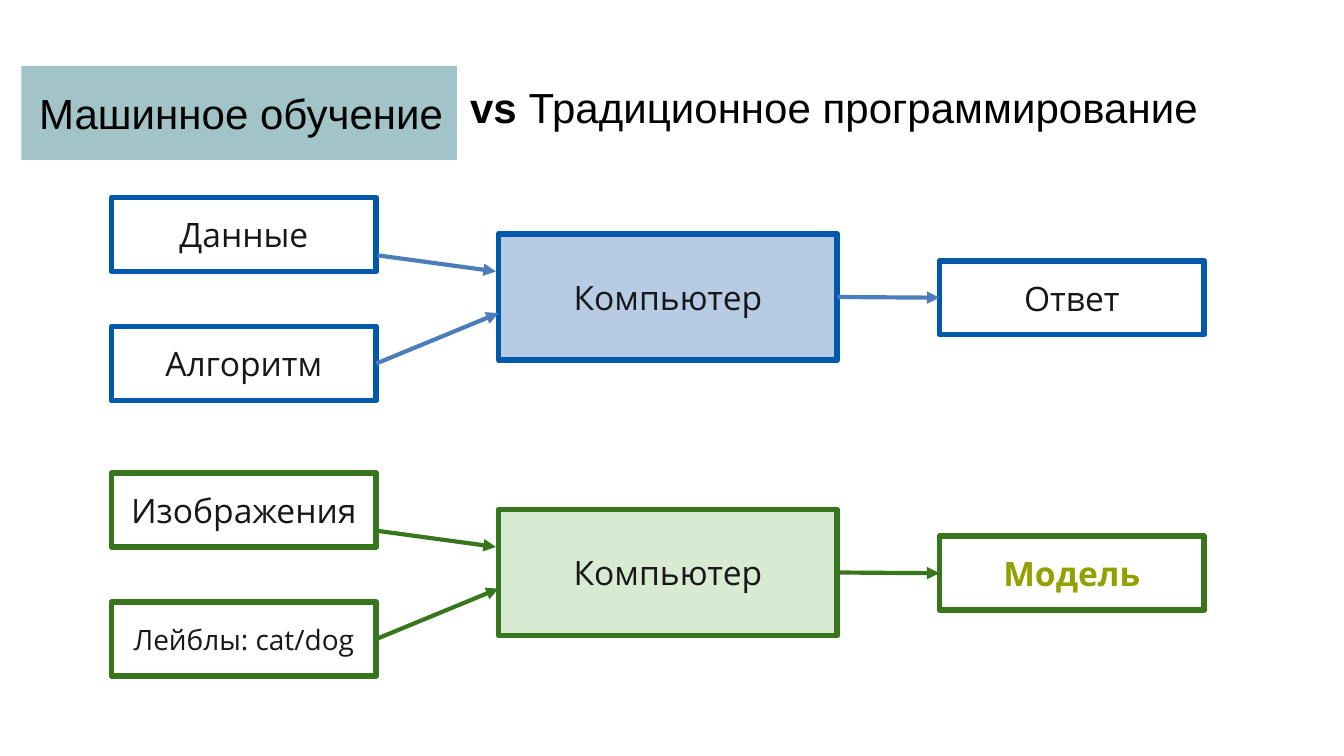
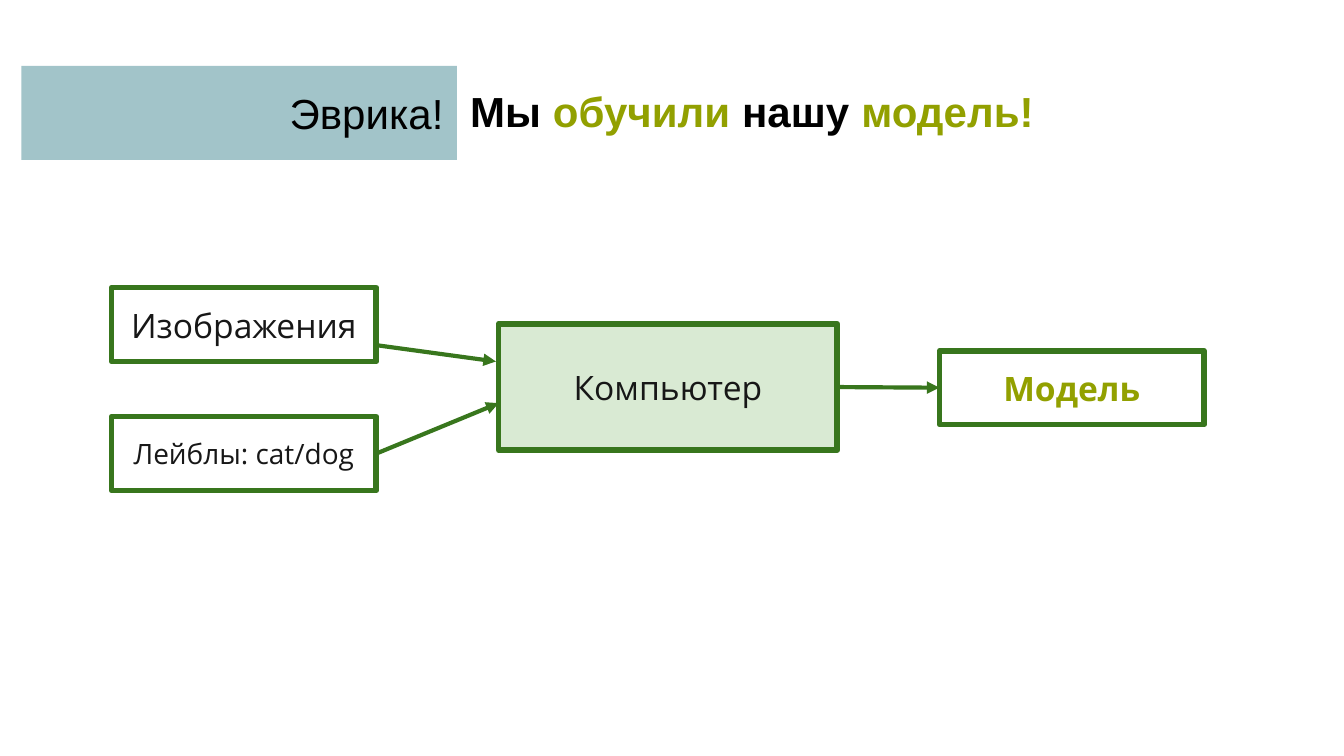
from lxml.etree import SubElement
from pptx import Presentation
from pptx.dml.color import RGBColor
from pptx.enum.shapes import MSO_CONNECTOR, MSO_SHAPE
from pptx.enum.text import MSO_ANCHOR, PP_ALIGN
from pptx.oxml.ns import qn
from pptx.util import Inches, Pt

BLACK = RGBColor(0x00, 0x00, 0x00)
INK = RGBColor(0x17, 0x17, 0x17)
OLIVE = RGBColor(0x92, 0xA0, 0x00)
TEAL = RGBColor(0xA2, 0xC4, 0xC9)
BLUE = RGBColor(0x00, 0x59, 0xA9)
ARROW_BLUE = RGBColor(0x4A, 0x7D, 0xBA)
PALE_BLUE = RGBColor(0xB7, 0xCC, 0xE4)
GREEN = RGBColor(0x38, 0x76, 0x1D)
PALE_GREEN = RGBColor(0xD9, 0xEA, 0xD3)

# Each flow: outline, arrow colour, computer fill, labels (text, size, colour, bold)
COMPUTER = ("Компьютер", 18, INK, False)
PROGRAMMING = (BLUE, ARROW_BLUE, PALE_BLUE, [
    ("Данные", 18, INK, False), ("Алгоритм", 18, INK, False),
    COMPUTER, ("Ответ", 18, INK, False)])
LEARNING = (GREEN, GREEN, PALE_GREEN, [
    ("Изображения", 18, INK, False), ("Лейблы: cat/dog", 15, INK, False),
    COMPUTER, ("Модель", 18, OLIVE, True)])

# Left, offset from the top of the flow, width, height
PLACES = [(0.83, 0, 1.97, 0.55), (0.83, 0.96, 1.97, 0.55),
          (3.71, 0.27, 2.52, 0.94), (6.99, 0.47, 1.97, 0.55)]
# Start and end, offset from the top of the flow
ARROWS = [(2.81, 0.43, 3.69, 0.55), (2.8, 1.24, 3.71, 0.86), (6.23, 0.74, 6.99, 0.74)]

# Band text, title top, title runs (text, colour, bold), flows by top
SLIDES = [
    ("Машинное обучение", 0.51,
     [("vs ", BLACK, True), ("Традиционное программирование", BLACK, False)],
     [(1.47, PROGRAMMING), (3.52, LEARNING)]),
    ("Эврика!", 0.54,
     [("Мы ", BLACK, True), ("обучили", OLIVE, True),
      (" нашу ", BLACK, True), ("модель!", OLIVE, True)],
     [(2.14, LEARNING)]),
]


def add_run(p, text, font, size, color, bold=False):
    r = p.add_run()
    r.text = text
    r.font.name, r.font.size, r.font.bold = font, Pt(size), bold
    r.font.color.rgb = color


def add_box(s, place, fill, line, align, inset):
    """Add a rectangle and return it with its first paragraph."""
    box = s.shapes.add_shape(MSO_SHAPE.RECTANGLE, *map(Inches, place))
    box.shadow.inherit = False
    if fill is None:
        box.fill.background()
    else:
        box.fill.solid()
        box.fill.fore_color.rgb = fill
    if line is None:
        box.line.fill.background()
    else:
        box.line.color.rgb = line
        box.line.width = Pt(3)
        SubElement(box.line._get_or_add_ln(), qn("a:round"))
    tf = box.text_frame
    tf.word_wrap = True
    tf.vertical_anchor = MSO_ANCHOR.MIDDLE
    tf.margin_left = tf.margin_right = Inches(inset)
    p = tf.paragraphs[0]
    p.alignment = align
    return box, p


prs = Presentation()
prs.slide_width = Inches(10)
prs.slide_height = prs.slide_width * 9 // 16

for band_text, title_top, title_runs, flows in SLIDES:
    s = prs.slides.add_slide(prs.slide_layouts[6])

    for top, (outline, arrow_color, computer_fill, labels) in flows:
        boxes = []
        for (x, dy, w, h), label in zip(PLACES, labels):
            text, size, color, bold = label
            fill = computer_fill if label is COMPUTER else None
            box, p = add_box(s, (x, top + dy, w, h), fill, outline, PP_ALIGN.CENTER, 0.09)
            add_run(p, text, "Open Sans", size, color, bold)
            boxes.append(box)

        arrows = []
        for x1, y1, x2, y2 in ARROWS:
            arrow = s.shapes.add_connector(
                MSO_CONNECTOR.STRAIGHT, Inches(x1), Inches(top + y1),
                Inches(x2), Inches(top + y2))
            arrow.line.color.rgb = arrow_color
            arrow.line.width = Pt(2.25)
            SubElement(arrow.line._get_or_add_ln(), qn("a:tailEnd"), type="triangle")
            SubElement(arrow._element.spPr, qn("a:effectLst"))
            arrows.append(arrow)
        first_input, second_input, computer, result = boxes
        arrows[1].begin_connect(second_input, 3)
        arrows[2].begin_connect(computer, 3)
        arrows[2].end_connect(result, 1)

    band, p = add_box(s, (0.16, 0.49, 3.24, 0.7), TEAL, None, PP_ALIGN.RIGHT, 0.1)
    add_run(p, band_text, "Arial", 22.5, BLACK)

    title = s.shapes.add_textbox(Inches(3.4), Inches(title_top), Inches(6.53), Inches(0.67))
    tf = title.text_frame
    tf.word_wrap = True
    tf.margin_left = tf.margin_right = tf.margin_top = tf.margin_bottom = Inches(0.1)
    for text, color, bold in title_runs:
        add_run(tf.paragraphs[0], text, "Arial", 22.5, color, bold)

prs.save("out.pptx")
